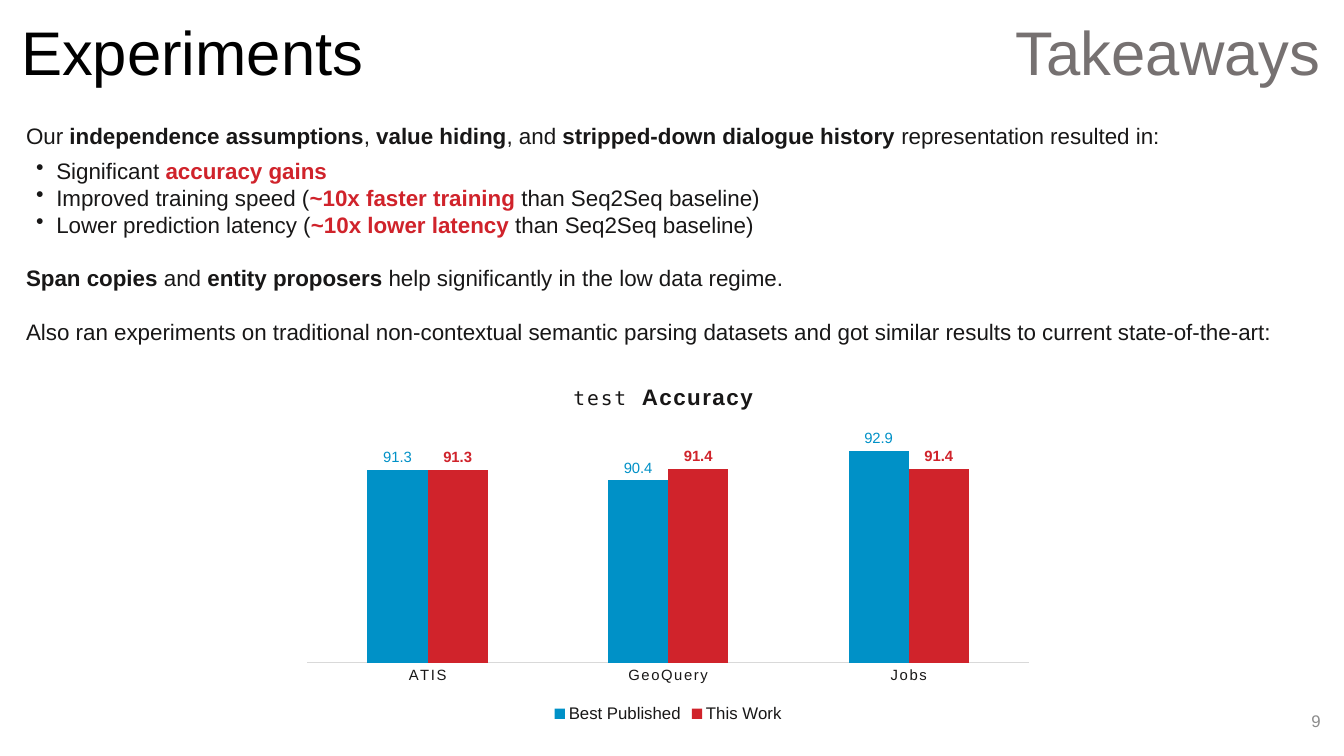
import pptx
import pptx.chart.data
import pptx.dml.color
import pptx.enum.chart
import pptx.enum.text
import pptx.oxml
import pptx.oxml.ns
import pptx.util

Pt = pptx.util.Pt
ALIGN = pptx.enum.text.PP_ALIGN
ANCHOR = pptx.enum.text.MSO_ANCHOR
CHART = pptx.enum.chart

# Content: a paragraph is a list of (text, style) spans
INTRO = [("Our ", "body"), ("independence assumptions", "strong"), (", ", "body"),
         ("value hiding", "strong"), (", and ", "body"),
         ("stripped-down dialogue history", "strong"),
         (" representation resulted in:", "body")]
GAINS = [
    [("Significant ", "body"), ("accuracy gains", "key")],
    [("Improved training speed (", "body"), ("~10x faster training ", "key"),
     ("than Seq2Seq baseline)", "body")],
    [("Lower prediction latency (", "body"), ("~10x lower latency ", "key"),
     ("than Seq2Seq baseline)", "body")],
]
REMARKS = [
    [("Span copies ", "strong"), ("and ", "body"), ("entity proposers", "strong"),
     (" help significantly in the low data regime.", "body")],
    [("Also ran experiments on traditional non-contextual semantic parsing datasets "
      "and got similar results to current state-of-the-art:", "body")],
]
CHART_TITLE = [("test ", "chart_code"), ("Accuracy", "chart_title")]
DATASETS = ["ATIS", "GeoQuery", "Jobs"]
RESULTS = [("Best Published", [91.3, 90.4, 92.9], "published"),
           ("This Work", [91.3, 91.4, 91.4], "ours")]

# Theme: font formats by role
INK, RED, BLUE, RULE = "181717", "D0232B", "0091C7", "D9D9D9"


def font_format(size, color, bold=False, name="Arial"):
    return {"size": Pt(size), "color": color, "bold": bold, "name": name}


THEME = {
    "title": font_format(44, "000000"),
    "section": font_format(44, "767171"),
    "number": font_format(12, "8C8C8C"),
    "body": font_format(16, INK),
    "strong": font_format(16, INK, True),
    "key": font_format(16, RED, True),
    "chart": font_format(10, "000000"),
    "chart_code": font_format(14, INK, name="DejaVu Sans Mono"),
    "chart_title": font_format(16, INK, True),
    "category": font_format(10.6, INK),
    "legend": font_format(12, INK),
    "published": font_format(10.6, BLUE),
    "ours": font_format(10.6, RED, True),
}
LETTER_SPACING = "120"


# Helpers
def rgb(color):
    return pptx.dml.color.RGBColor.from_string(color)


def set_font(font, role):
    for key, value in THEME[role].items():
        if key == "color":
            font.color.rgb = rgb(value)
        else:
            setattr(font, key, value)


def write_spans(para, spans):
    for text, role in spans:
        span = para.add_run()
        span.text = text
        set_font(span.font, role)


def add_box(page, area, paragraphs, anchor=ANCHOR.TOP):
    """Each paragraph is (spans, format values)."""
    frame = page.shapes.add_textbox(*map(Pt, area)).text_frame
    frame.word_wrap = True
    frame.vertical_anchor = anchor
    for index, (spans, values) in enumerate(paragraphs):
        para = frame.add_paragraph() if index else frame.paragraphs[0]
        for key, value in values.items():
            setattr(para, key, value)
        write_spans(para, spans)
    return frame


def add_bullet(para, indent, hanging):
    properties = para._p.get_or_add_pPr()
    properties.set("marL", str(Pt(indent)))
    properties.set("indent", str(-Pt(hanging)))
    bullet = pptx.oxml.parse_xml(
        '<a:buChar %s char="\u2022"/>' % pptx.oxml.ns.nsdecls("a"))
    properties.append(bullet)


def place(element, **fractions):
    """Set a manual layout in fractions of the chart area."""
    for old in element.findall(pptx.oxml.ns.qn("c:layout")):
        element.remove(old)
    modes = '<c:layoutTarget val="inner"/>' if "w" in fractions else ""
    modes += '<c:xMode val="edge"/><c:yMode val="edge"/>'
    sizes = "".join('<c:%s val="%s"/>' % item for item in fractions.items())
    layout = pptx.oxml.parse_xml(
        "<c:layout %s><c:manualLayout>%s%s</c:manualLayout></c:layout>"
        % (pptx.oxml.ns.nsdecls("c"), modes, sizes))
    title_text = element.find(pptx.oxml.ns.qn("c:tx"))
    element.insert(0 if title_text is None else 1, layout)


deck = pptx.Presentation()
deck.slide_width, deck.slide_height = Pt(960), Pt(540)
page = deck.slides.add_slide(deck.slide_layouts[6])

# Headings and page number
heading = {"line_spacing": 0.9}
right = {"alignment": ALIGN.RIGHT}
for area, text, role, values in [
    ((8, 10.8, 472, 57.6), "Experiments", "title", heading),
    ((480, 10.8, 470.4, 57.6), "Takeaways", "section", {**heading, **right}),
    ((734.4, 500.4, 216, 28.8), "9", "number", right),
]:
    add_box(page, area, [([(text, role)], values)], ANCHOR.MIDDLE)

# Takeaways
paragraphs = [(INTRO, {"space_after": Pt(6)})]
paragraphs += [(gain, {}) for gain in GAINS]
paragraphs += [(remark, {"space_before": Pt(19.2)}) for remark in REMARKS]
frame = add_box(page, (11.5, 83.5, 938, 168.5), paragraphs)
for para in frame.paragraphs[1:1 + len(GAINS)]:
    add_bullet(para, 21.6, 14.4)

# Accuracy chart
data = pptx.chart.data.CategoryChartData(number_format="0.0")
data.categories = DATASETS
for name, values, role in RESULTS:
    data.add_series(name, values)
chart = page.shapes.add_chart(
    CHART.XL_CHART_TYPE.COLUMN_CLUSTERED,
    Pt(208.8), Pt(266.4), Pt(537), Pt(252.7), data).chart
set_font(chart.font, "chart")

write_spans(chart.chart_title.text_frame.paragraphs[0], CHART_TITLE)
for span in chart.chart_title.text_frame.paragraphs[0].runs:
    span.font._element.set("spc", LETTER_SPACING)
chart.chart_title.include_in_layout = True
place(chart.chart_title._element, x=0.37, y=0.02)
place(chart.plots[0]._element.getparent(), x=0.02, y=0.15, w=0.96, h=0.67)

chart.has_legend = True
chart.legend.position = CHART.XL_LEGEND_POSITION.BOTTOM
chart.legend.include_in_layout = False
set_font(chart.legend.font, "legend")

# Axes
accuracy, datasets = chart.value_axis, chart.category_axis
for key, value in {"visible": False, "has_major_gridlines": False,
                   "minimum_scale": 75, "maximum_scale": 95}.items():
    setattr(accuracy, key, value)
datasets.major_tick_mark = CHART.XL_TICK_MARK.NONE
datasets.format.line.color.rgb = rgb(RULE)
datasets.format.line.width = Pt(0.75)
set_font(datasets.tick_labels.font, "category")
datasets.tick_labels.font._element.set("spc", LETTER_SPACING)

# Columns and their labels
plot = chart.plots[0]
plot.gap_width, plot.overlap, plot.vary_by_categories = 200, 0, False
for series, (name, values, role) in zip(plot.series, RESULTS):
    series.format.fill.solid()
    series.format.fill.fore_color.rgb = rgb(THEME[role]["color"])
    labels = series.data_labels
    labels.show_value = True
    labels.position = CHART.XL_LABEL_POSITION.OUTSIDE_END
    set_font(labels.font, role)

deck.save("out.pptx")
